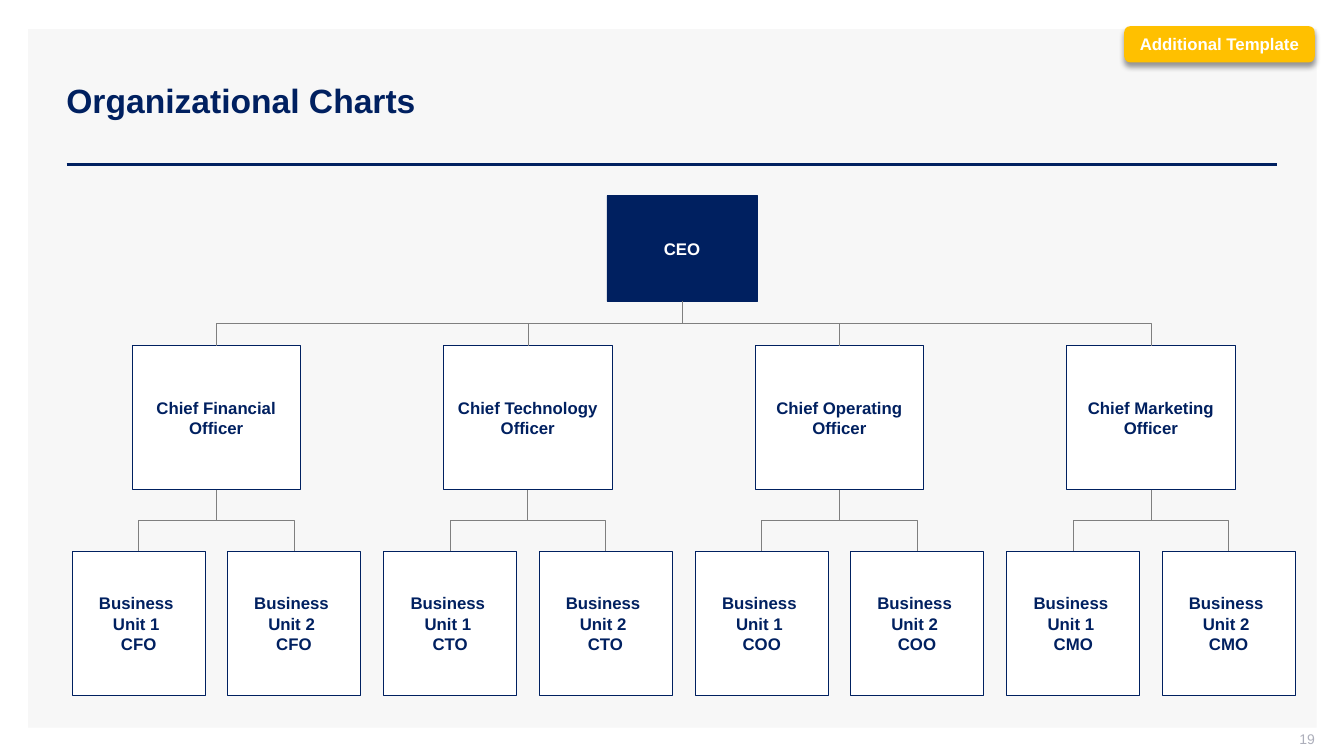
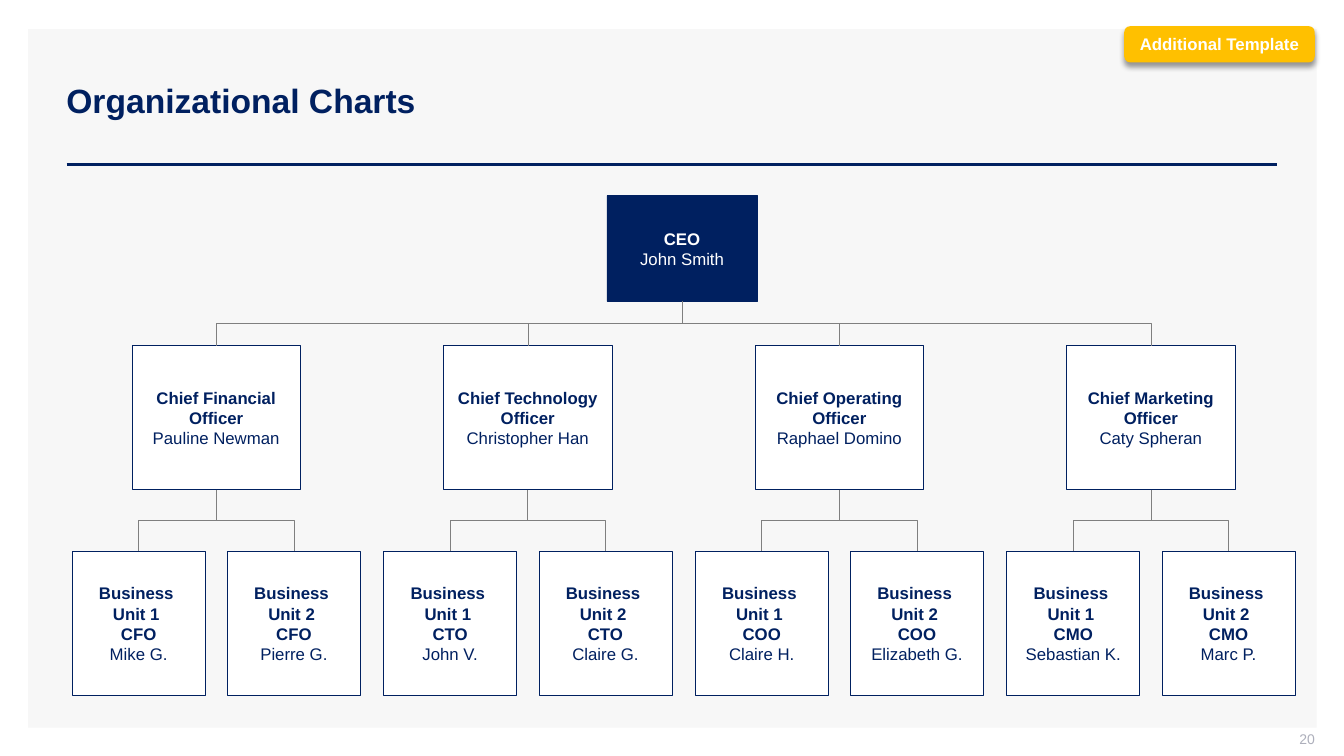
import pptx
import pptx.util
import pptx.dml.color
import pptx.enum.shapes
import pptx.enum.text
import pptx.oxml
import pptx.oxml.ns

Inches = pptx.util.Inches
Pt = pptx.util.Pt
Shape = pptx.enum.shapes.MSO_SHAPE
Connector = pptx.enum.shapes.MSO_CONNECTOR
Align = pptx.enum.text.PP_ALIGN

TITLE = "Organizational Charts"
TAG = "Additional Template"
CEO = "CEO"
CHIEFS = [
    ("Chief Financial Officer", "CFO"),
    ("Chief Technology Officer", "CTO"),
    ("Chief Operating Officer", "COO"),
    ("Chief Marketing Officer", "CMO"),
]
UNITS = ["Unit 1 ", "Unit 2 "]
NAMES = {
    "ceo": "John Smith",
    "chiefs": ["Pauline Newman", "Christopher Han", "Raphael Domino", "Caty Spheran"],
    "units": [
        ["Mike G.", "Pierre G."],
        ["John V.", "Claire G."],
        ["Claire H.", "Elizabeth G."],
        ["Sebastian K.", "Marc P."],
    ],
}
SLIDES = [("19", None), ("20", NAMES)]

COLORS = {
    "navy": "002060",
    "white": "FFFFFF",
    "panel": "F7F7F7",
    "branch": "7F7F7F",
    "tag": "FFC000",
    "number": "ADAFBB",
}
FONT = "Arial"

CEO_BOX = (6.02, 1.94, 1.49, 1.05)
CHIEF_LEFT, CHIEF_TOP, CHIEF_WIDTH, CHIEF_PITCH = 1.31, 3.43, 1.67, 3.09
UNIT_TOP, UNIT_WIDTH, UNIT_OFFSET = 5.47, 1.32, 0.77
BOX_HEIGHT = 1.43

SHADOW = (
    '<a:effectLst xmlns:a="http://schemas.openxmlformats.org/drawingml/2006/main">'
    '<a:outerShdw blurRad="50800" dist="38100" dir="5400000" algn="t" rotWithShape="0">'
    '<a:srgbClr val="000000"><a:alpha val="40000"/></a:srgbClr>'
    "</a:outerShdw></a:effectLst>"
)


def color(name):
    return pptx.dml.color.RGBColor.from_string(COLORS[name])


def write(shape, lines, size=12, ink="navy", align=Align.CENTER, margins=(0.06, 0.02, 0.06, 0.02)):
    frame = shape.text_frame
    frame.word_wrap = True
    frame.vertical_anchor = pptx.enum.text.MSO_ANCHOR.MIDDLE
    frame.margin_left, frame.margin_top, frame.margin_right, frame.margin_bottom = map(Inches, margins)
    for index, (text, bold) in enumerate(lines):
        paragraph = frame.add_paragraph() if index else frame.paragraphs[0]
        paragraph.alignment = align
        run = paragraph.add_run()
        run.text = text
        run.font.name = FONT
        run.font.size = Pt(size)
        run.font.bold = bold
        run.font.color.rgb = color(ink)


def add_box(slide, box, fill, outline=None, preset=Shape.RECTANGLE):
    shape = slide.shapes.add_shape(preset, *map(Inches, box))
    shape.shadow.inherit = False
    shape.fill.solid()
    shape.fill.fore_color.rgb = color(fill)
    if outline:
        shape.line.color.rgb = color(outline)
        shape.line.width = Pt(0.5)
    else:
        shape.line.fill.background()
    return shape


def add_text(slide, box, lines, **text_format):
    write(slide.shapes.add_textbox(*map(Inches, box)), lines, **text_format)


def add_line(slide, kind, ends, ink, width):
    line = slide.shapes.add_connector(kind, *ends)
    line.line.color.rgb = color(ink)
    line.line.width = Pt(width)
    line.element.spPr.append(pptx.oxml.parse_xml(
        '<a:effectLst xmlns:a="http://schemas.openxmlformats.org/drawingml/2006/main"/>'))
    return line


def add_branch(slide, parent, child):
    start_x, start_y = parent.left + parent.width // 2, parent.top + parent.height
    end_x, end_y = child.left + child.width // 2, child.top
    branch = add_line(slide, Connector.ELBOW, (start_x, start_y, end_x, end_y), "branch", 0.5)
    branch.begin_connect(parent, 2)
    branch.end_connect(child, 0)
    drop, spread = end_y - start_y, abs(end_x - start_x)
    branch.left = (start_x + end_x - drop) // 2
    branch.top = (start_y + end_y - spread) // 2
    branch.width, branch.height = drop, spread
    rightward = end_x > start_x
    transform = branch.element.spPr.find(pptx.oxml.ns.qn("a:xfrm"))
    transform.set("rot", "16200000" if rightward else "5400000")
    transform.set("flipH", "1" if rightward else "0")


def add_person(slide, box, titles, name, fill="white", ink="navy"):
    shape = add_box(slide, box, fill, outline="navy")
    lines = [(title, True) for title in titles]
    if name:
        lines.append((name, False))
    write(shape, lines, ink=ink)
    return shape


def add_frame(slide, number):
    add_box(slide, (0.28, 0.29, 12.78, 6.93), "panel")
    rule = [Inches(value) for value in (0.66, 1.63, 12.67, 1.63)]
    add_line(slide, Connector.STRAIGHT, rule, "navy", 2)
    add_text(slide, (0.56, 0.4, 12.11, 1.19), [(TITLE, True)], size=24,
             align=Align.LEFT, margins=(0.1, 0.05, 0.1, 0.05))
    add_text(slide, (10.04, 7.25, 3, 0.21), [(number, False)], size=10, ink="number",
             align=Align.RIGHT, margins=(0.1, 0, 0, 0.05))
    tag = add_box(slide, (11.15, 0.26, 1.89, 0.36), "tag", preset=Shape.ROUNDED_RECTANGLE)
    properties = tag.element.spPr
    properties.remove(properties.find(pptx.oxml.ns.qn("a:effectLst")))
    properties.append(pptx.oxml.parse_xml(SHADOW))
    write(tag, [(TAG, True)], ink="white", margins=(0.04, 0.05, 0.04, 0.05))


def add_chart_of_people(slide, names):
    ceo = add_person(slide, CEO_BOX, [CEO], names and names["ceo"], fill="navy", ink="white")
    for column, (title, initials) in enumerate(CHIEFS):
        left = CHIEF_LEFT + column * CHIEF_PITCH
        chief = add_person(slide, (left, CHIEF_TOP, CHIEF_WIDTH, BOX_HEIGHT), [title],
                           names and names["chiefs"][column])
        add_branch(slide, ceo, chief)
        center = left + CHIEF_WIDTH / 2
        for side, unit in enumerate(UNITS):
            unit_left = center + (2 * side - 1) * UNIT_OFFSET - UNIT_WIDTH / 2
            member = add_person(slide, (unit_left, UNIT_TOP, UNIT_WIDTH, BOX_HEIGHT),
                                ["Business ", unit, initials],
                                names and names["units"][column][side])
            add_branch(slide, chief, member)


def main():
    presentation = pptx.Presentation()
    presentation.slide_width = Inches(13.33)
    presentation.slide_height = Inches(7.5)
    for number, names in SLIDES:
        slide = presentation.slides.add_slide(presentation.slide_layouts[6])
        add_frame(slide, number)
        add_chart_of_people(slide, names)
    presentation.save("out.pptx")


if __name__ == "__main__":
    main()
